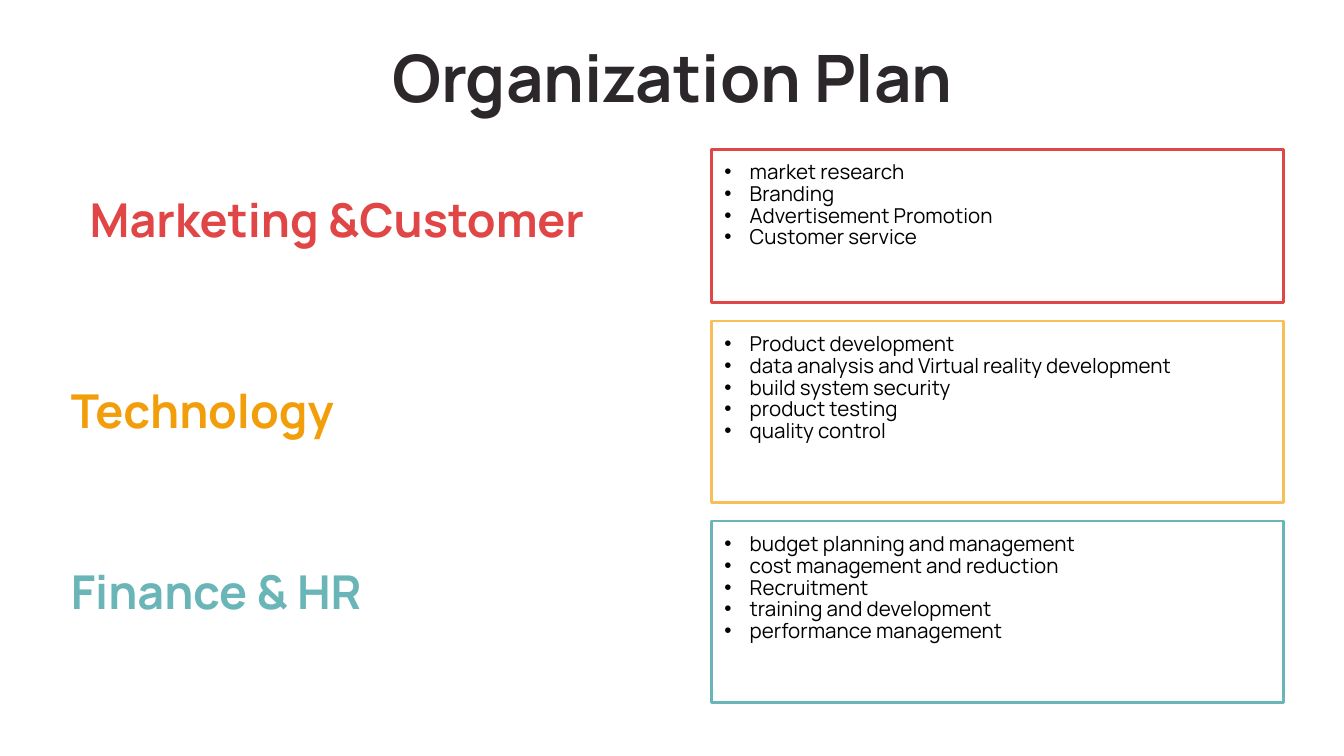
"""Build the Organization Plan slide with three departments and their tasks."""
from dataclasses import dataclass
from typing import Any, Optional

from lxml import etree
from pptx import Presentation
from pptx.dml.color import RGBColor
from pptx.enum.shapes import MSO_SHAPE
from pptx.enum.text import MSO_ANCHOR, MSO_AUTO_SIZE, PP_ALIGN
from pptx.oxml.ns import qn
from pptx.util import Cm, Pt

RECTANGLE = MSO_SHAPE.RECTANGLE
TOP, MIDDLE = MSO_ANCHOR.TOP, MSO_ANCHOR.MIDDLE
LEFT, CENTER = PP_ALIGN.LEFT, PP_ALIGN.CENTER
NO_AUTOFIT = MSO_AUTO_SIZE.NONE


@dataclass(frozen=True)
class Theme:
    font: str = "Manrope"
    title_size: float = 35
    heading_size: float = 25
    task_size: float = 11
    task_spacing: float = 0.88
    ink: str = "2C272B"
    black: str = "000000"
    white: str = "FFFFFF"
    red: str = "E14646"
    orange: str = "F19E0A"
    yellow: str = "F8BE57"
    teal: str = "69B5B7"


@dataclass(frozen=True)
class Area:
    left: float
    top: float
    width: float
    height: float


@dataclass(frozen=True)
class Department:
    name: str
    heading_area: Area
    color: str
    border: str
    tasks_height: float
    tasks: tuple[str, ...]
    align: Any = LEFT
    heading_line: Optional[str] = None


THEME = Theme()
TITLE_AREA = Area(2.01, 0.64, 21.41, 1.6)
TASKS_LEFT, TASKS_TOP, TASKS_WIDTH, TASKS_GAP = 13.44, 2.82, 10.82, 0.35
INSET, BULLET_INDENT = 0.25, 0.48

DEPARTMENTS = (
    Department(
        "Marketing &Customer", Area(0.56, 3.63, 11.61, 1.02), THEME.red, THEME.red, 2.9,
        ("market research", "Branding", "Advertisement Promotion", "Customer service"),
        align=CENTER,
    ),
    Department(
        "Technology", Area(1.09, 7.16, 11.61, 1.19), THEME.orange, THEME.yellow, 3.43,
        ("Product development", "data analysis and Virtual reality development",
         "build system security", "product testing", "quality control"),
        heading_line=THEME.white,
    ),
    Department(
        "Finance & HR", Area(1.09, 10.57, 11.61, 1.19), THEME.teal, THEME.teal, 3.43,
        ("budget planning and management", "cost management and reduction",
         "Recruitment", "training and development", "performance management"),
    ),
)


def apply(target: Any, values: dict[str, Any]) -> None:
    for name, value in values.items():
        setattr(target, name, value)


def place(shape: Any, area: Area) -> None:
    apply(shape, {side: Cm(getattr(area, side)) for side in ("left", "top", "width", "height")})


def set_frame(frame: Any, anchor: Any) -> None:
    margins = ("margin_left", "margin_top", "margin_right", "margin_bottom")
    apply(frame, {"word_wrap": True, "auto_size": NO_AUTOFIT, "vertical_anchor": anchor,
                  **dict.fromkeys(margins, Cm(INSET))})


def set_font(paragraph: Any, size: float, color: str, bold: bool) -> None:
    font = paragraph.runs[0].font
    apply(font, {"name": THEME.font, "size": Pt(size), "bold": bold})
    font.color.rgb = RGBColor.from_string(color)


def add_bullet(paragraph: Any) -> None:
    properties = paragraph._p.get_or_add_pPr()
    apply_indent = {"marL": Cm(BULLET_INDENT), "indent": -Cm(BULLET_INDENT)}
    for name, value in apply_indent.items():
        properties.set(name, str(int(value)))
    bullet_color = etree.SubElement(properties, qn("a:buClr"))
    etree.SubElement(bullet_color, qn("a:srgbClr")).set("val", THEME.black)
    etree.SubElement(properties, qn("a:buFont")).set("typeface", "Arial")
    etree.SubElement(properties, qn("a:buChar")).set("char", "•")


def add_box(slide: Any, area: Area, line: Optional[str], weight: float, anchor: Any) -> Any:
    box = slide.shapes.add_shape(
        RECTANGLE, Cm(area.left), Cm(area.top), Cm(area.width), Cm(area.height))
    box.shadow.inherit = False
    box.fill.background()
    if line:
        box.line.color.rgb = RGBColor.from_string(line)
        box.line.width = Pt(weight)
    else:
        box.line.fill.background()
    set_frame(box.text_frame, anchor)
    return box.text_frame


def add_title(slide: Any, wording: str) -> None:
    title = slide.shapes.title
    place(title, TITLE_AREA)
    set_frame(title.text_frame, MIDDLE)
    title.text_frame.text = wording
    paragraph = title.text_frame.paragraphs[0]
    paragraph.alignment = CENTER
    set_font(paragraph, THEME.title_size, THEME.ink, True)


def add_heading(slide: Any, department: Department) -> None:
    frame = add_box(slide, department.heading_area, department.heading_line, 0.75, MIDDLE)
    frame.text = department.name
    heading = frame.paragraphs[0]
    heading.alignment = department.align
    set_font(heading, THEME.heading_size, department.color, True)


def add_tasks(slide: Any, department: Department, top: float) -> None:
    area = Area(TASKS_LEFT, top, TASKS_WIDTH, department.tasks_height)
    frame = add_box(slide, area, department.border, 1.5, TOP)
    frame.text = "\n".join(department.tasks)
    for task in frame.paragraphs:
        apply(task, {"alignment": LEFT, "line_spacing": THEME.task_spacing})
        add_bullet(task)
        set_font(task, THEME.task_size, THEME.black, False)


def main() -> None:
    presentation = Presentation()
    apply(presentation, {"slide_width": Cm(25.4), "slide_height": Cm(14.29)})
    slide = presentation.slides.add_slide(presentation.slide_layouts[5])
    add_title(slide, "Organization Plan")
    top = TASKS_TOP
    for department in DEPARTMENTS:
        add_heading(slide, department)
        add_tasks(slide, department, top)
        top += department.tasks_height + TASKS_GAP
    presentation.save("out.pptx")


if __name__ == "__main__":
    main()
